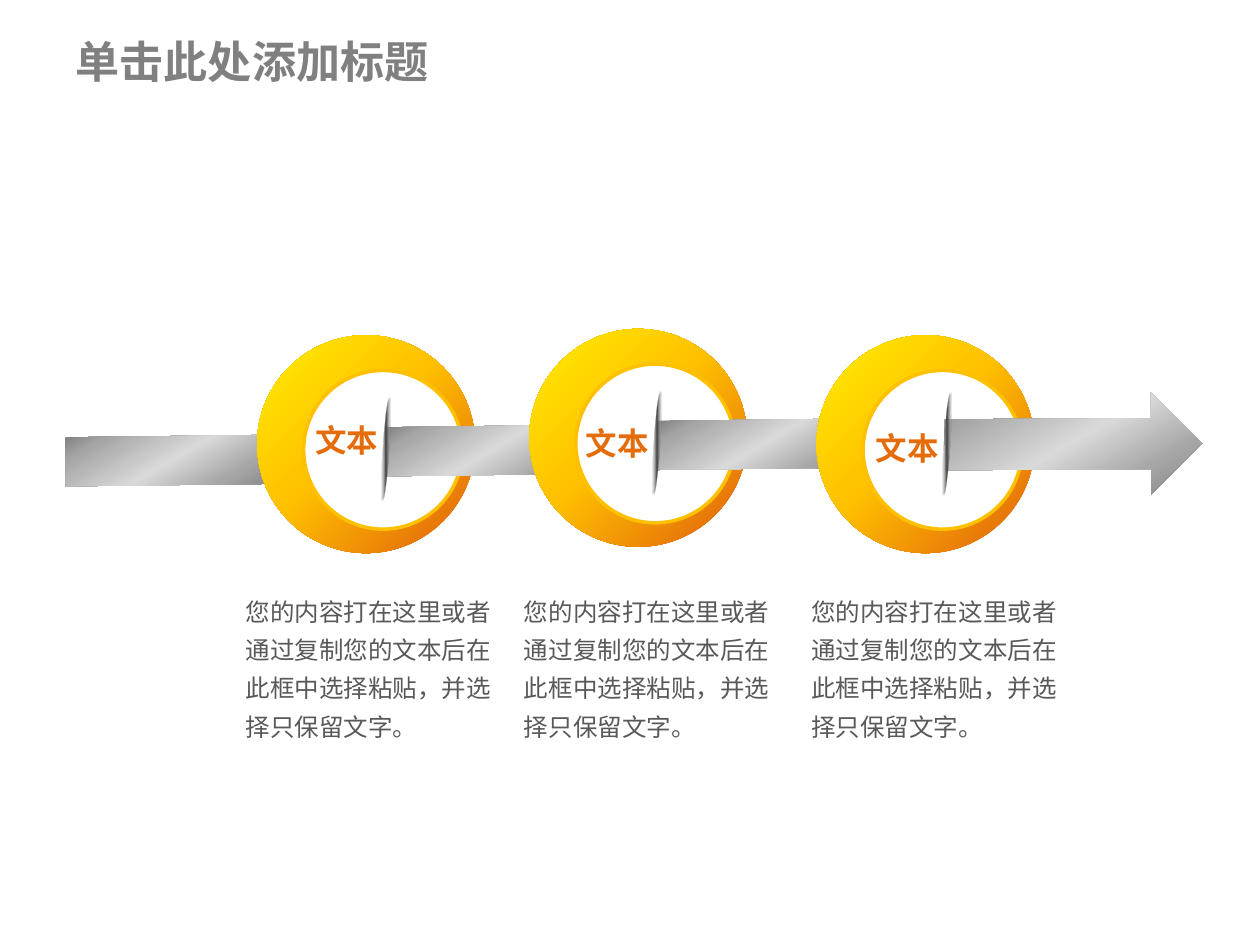
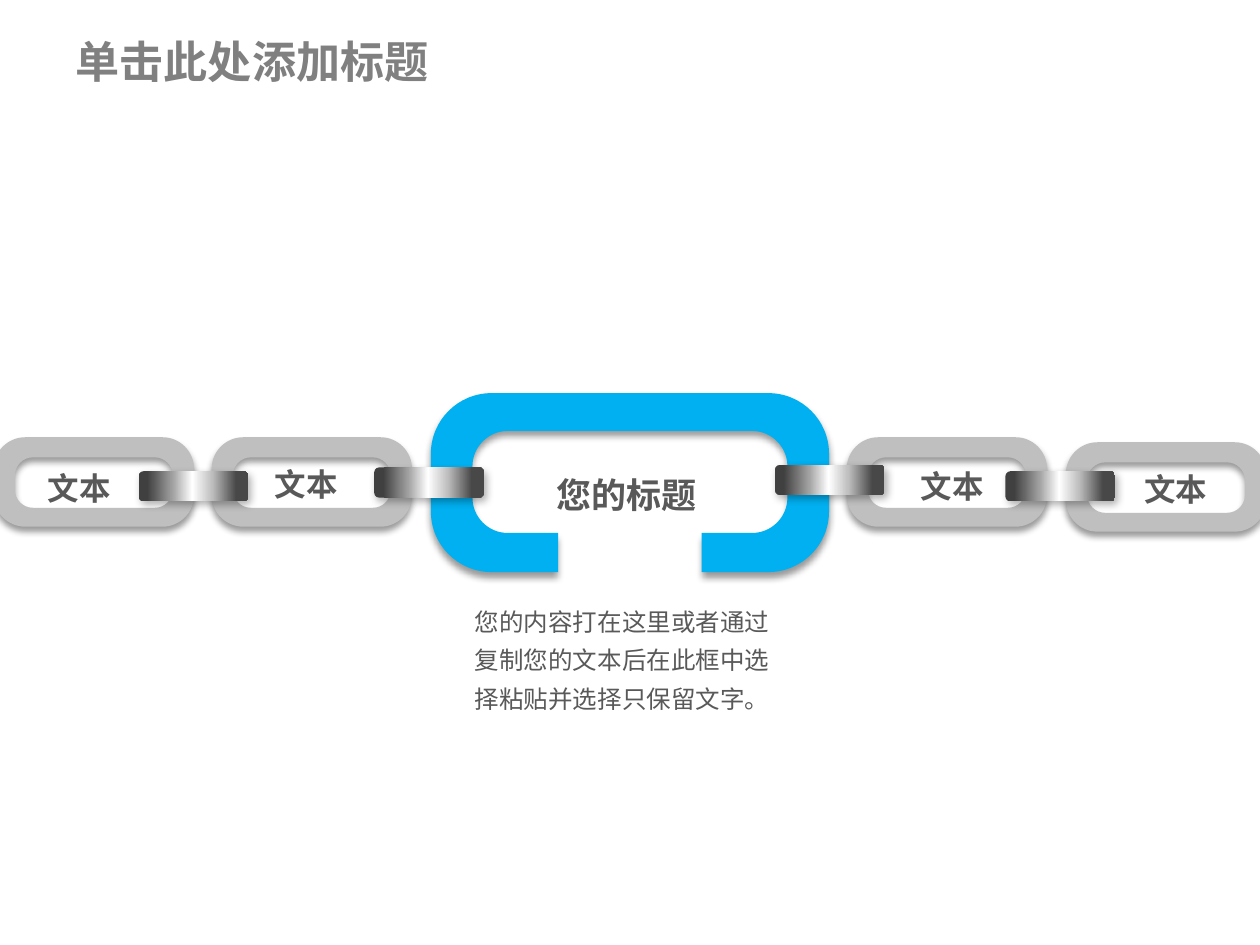
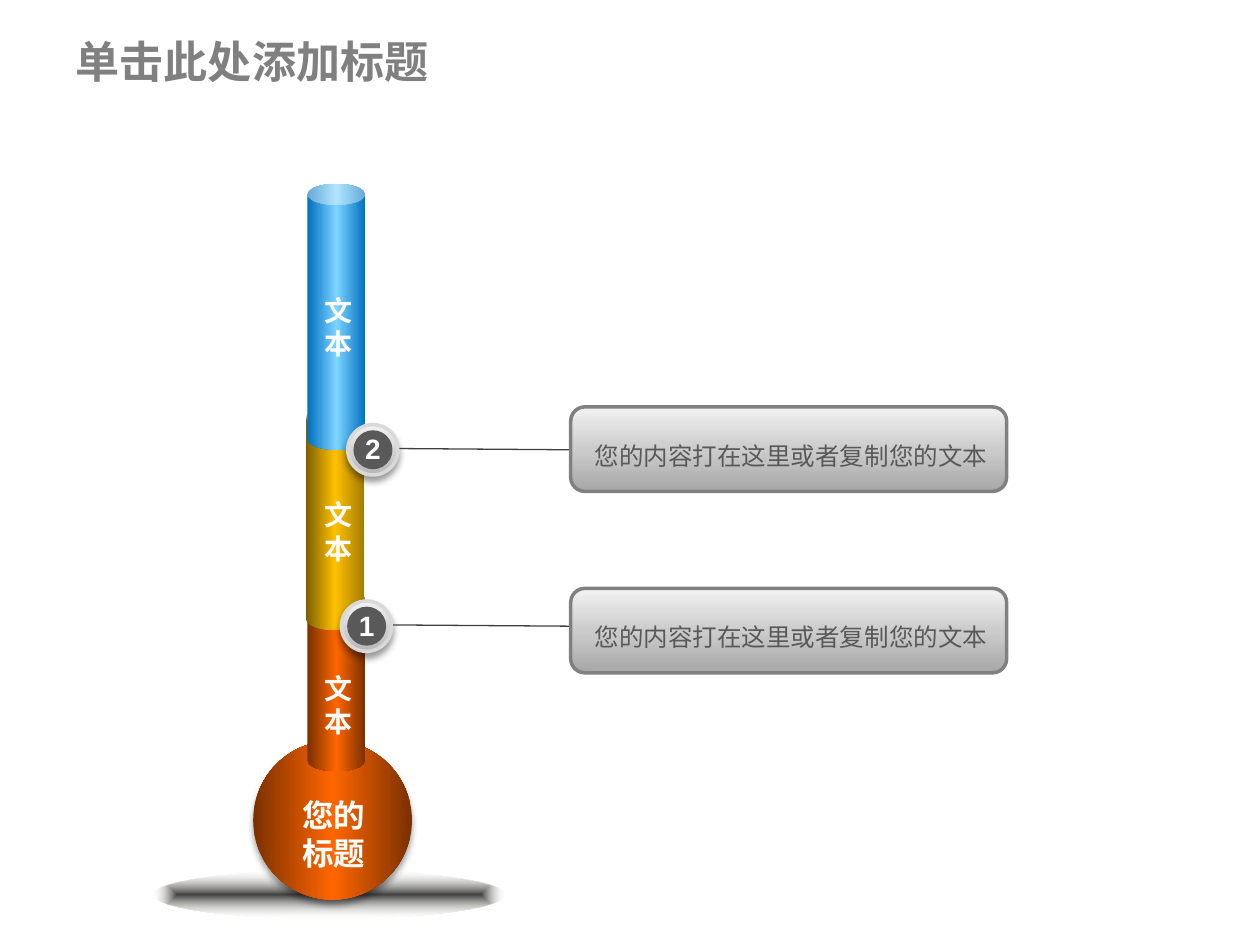
from math import hypot

from lxml import etree
from pptx import Presentation
from pptx.dml.color import RGBColor
from pptx.enum.shapes import MSO_CONNECTOR as Connector, MSO_SHAPE as Shape
from pptx.enum.text import MSO_ANCHOR as Anchor, MSO_AUTO_SIZE as AutoSize, PP_ALIGN as Align
from pptx.oxml import parse_xml
from pptx.oxml.ns import nsdecls, qn
from pptx.util import Inches, Pt

CJK, LATIN = "Noto Sans CJK SC", "Arial"
WHITE, INK, GREY, CHARCOAL = "FFFFFF", "595959", "808080", "404040"
ORANGE, GOLD, BLUE, SILVER = "E46C0A", "FFC000", "00B0F0", "BFBFBF"
TITLE, LABEL = "单击此处添加标题", "文本"

# Gradients: (position %, colour, opacity %)
STEEL = [(1, GREY), (15, "A6A6A6"), (49, "D9D9D9"), (77, "A6A6A6"), (100, GREY)]
SUN = [(0, "FFFF00"), (47, GOLD), (82, ORANGE)]
CHROME = [(8, CHARCOAL), (31, "A1A1A1"), (49, WHITE), (67, SILVER), (89, "484848")]
FADE = [(0, CHARCOAL), (100, "EEECE1", 0)]
RED_TUBE = [(0, "7A3000"), (50, "FF6600"), (100, "7A3000")]
GOLD_TUBE = [(0, "7E6000"), (50, GOLD), (100, "A47D00")]
BLUE_TUBE = [(0, "0070C0"), (50, "7DD4FF"), (100, "0070C0")]
BADGE = [(0, "B7B7B7"), (100, "F2F2F2")]
PANEL = [(0, "A7A7A7"), (50, "CCCCCC"), (100, "F2F2F2")]

# Shadows: opacity %, blur pt, distance pt, angle
DROP = (40, 4, 3, 90)
CLIP_DROP = (30, 4.5, 2.6, 53)


def colour(value):
    return RGBColor.from_string(value)


# Shared drawing helpers
def paint_gradient(shape, stops, angle=0, focus=None):
    """Linear at an angle, or radial when focus is (path kind, l, t, r, b)."""
    shape.fill.solid()
    solid = shape._element.spPr.find(qn("a:solidFill"))
    gradient = parse_xml(f'<a:gradFill {nsdecls("a")} rotWithShape="1"><a:gsLst/></a:gradFill>')
    for position, value, *opacity in stops:
        stop = etree.SubElement(gradient[0], qn("a:gs"), pos=str(position * 1000))
        tint = etree.SubElement(stop, qn("a:srgbClr"), val=value)
        if opacity:
            etree.SubElement(tint, qn("a:alpha"), val=str(opacity[0] * 1000))
    if focus:
        kind, *sides = focus
        radial = etree.SubElement(gradient, qn("a:path"), path=kind)
        etree.SubElement(radial, qn("a:fillToRect"),
                         {side: str(share * 1000) for side, share in zip("ltrb", sides)})
    else:
        etree.SubElement(gradient, qn("a:lin"), ang=str(angle * 60000), scaled="0")
    solid.getparent().replace(solid, gradient)


def finish(shape, fill=None, line=None, shadow=None):
    shape.shadow.inherit = False
    if fill:
        shape.fill.solid()
        shape.fill.fore_color.rgb = colour(fill)
    if line:
        shape.line.color.rgb = colour(line)
        shape.line.width = Pt(2)
    else:
        shape.line.fill.background()
    if shadow:
        opacity, blur, distance, angle = shadow
        effects = shape._element.spPr.find(qn("a:effectLst"))
        outer = etree.SubElement(effects, qn("a:outerShdw"), blurRad=str(Pt(blur)),
                                 dist=str(Pt(distance)), dir=str(angle * 60000),
                                 algn="ctr", rotWithShape="0")
        tint = etree.SubElement(outer, qn("a:srgbClr"), val="000000")
        etree.SubElement(tint, qn("a:alpha"), val=str(opacity * 1000))


def add_shape(page, kind, box, fill=None, stops=None, angle=0, focus=None,
              line=None, shadow=None, turn=0):
    shape = page.shapes.add_shape(kind, *map(Inches, box))
    shape.rotation = turn
    finish(shape, fill, line, shadow)
    if stops:
        paint_gradient(shape, stops, angle, focus)
    return shape


def style_text(frame, size, value, bold=False, font=CJK):
    for para in frame.paragraphs:
        for span in para.runs:
            span.font.size, span.font.bold, span.font.name = Pt(size), bold, font
            span.font.color.rgb = colour(value)
            etree.SubElement(span._r.get_or_add_rPr(), qn("a:ea"), typeface=font)


def add_text(page, box, text, size, value, bold=True, font=CJK):
    """Bold text is a centred label; plain text is a body paragraph."""
    frame = page.shapes.add_textbox(*map(Inches, box)).text_frame
    frame.word_wrap = True
    frame.auto_size = AutoSize.SHAPE_TO_FIT_TEXT
    frame.text = text
    para = frame.paragraphs[0]
    if bold:
        para.alignment = Align.CENTER
    else:
        para.line_spacing = 1.3
    style_text(frame, size, value, bold, font)


def add_page(deck):
    page = deck.slides.add_slide(deck.slide_layouts[5])
    title = page.shapes.title
    title.left, title.top, title.width, title.height = map(Inches, (0.5, 0.2, 9, 0.56))
    frame = title.text_frame
    frame.text = TITLE
    frame.vertical_anchor = Anchor.MIDDLE
    frame.paragraphs[0].alignment = Align.LEFT
    style_text(frame, 25.2, GREY, True)
    return page


# Slide 1: rings threaded on an arrow
def add_ring(page, left, top):
    add_shape(page, Shape.OVAL, (left, top, 1.73, 1.73), stops=SUN,
              focus=("circle", 0, 0, 100, 100), turn=22.6)
    add_shape(page, Shape.OVAL, (left + 0.37, top + 0.28, 1.26, 1.26),
              fill=WHITE, line=GOLD, turn=22.6)


def build_rings(deck):
    page = add_page(deck)
    rings = [(2.04, 2.66), (4.2, 2.61), (6.48, 2.66)]
    bars = [(0.52, 3.46), (3.06, 3.38), (5.22, 3.33)]
    for bar, ring in zip(bars, rings):
        add_shape(page, Shape.RECTANGLE, (*bar, 1.73, 0.39), stops=STEEL, angle=60, turn=359.3)
        add_ring(page, *ring)
    add_shape(page, Shape.RIGHT_ARROW, (7.5, 3.12, 2.04, 0.81), stops=STEEL, angle=60, turn=359.7)
    for left, top in [(2.65, 3.54), (4.8, 3.49), (7.1, 3.5)]:
        add_shape(page, Shape.OVAL, (left, top, 0.83, 0.05), stops=FADE,
                  focus=("shape", 50, 50, 50, 50), turn=93.7)
    for left, top in [(2.34, 3.29), (4.49, 3.32), (6.79, 3.36)]:
        add_text(page, (left, top, 0.82, 0.4), LABEL, 18, ORANGE)
    for left in (1.85, 4.06, 6.34):
        add_text(page, (left, 4.62, 2.29, 1.33),
                 "您的内容打在这里或者通过复制您的文本后在此框中选择粘贴，并选择只保留文字。",
                 14, INK, bold=False)


# Slide 2: a chain with an open middle link
def box_corners(left, top, width, height, radius):
    """Clockwise from the top left, each as (x, y, corner radius)."""
    right, bottom = left + width, top + height
    return [(left, top, radius), (right, top, radius),
            (right, bottom, radius), (left, bottom, radius)]


def toward(start, end, distance):
    share = distance / hypot(end[0] - start[0], end[1] - start[1])
    return tuple(start[i] + (end[i] - start[i]) * share for i in (0, 1))


def round_corners(corners):
    """Segments of one point (line) or three points (curve), ending where they start."""
    segments = []
    for index, corner in enumerate(corners):
        before, after = corners[index - 1], corners[(index + 1) % len(corners)]
        radius = corner[2]
        segments.append([toward(corner, before, radius)])
        if radius:
            segments.append([toward(corner, before, radius * 0.45),
                             toward(corner, after, radius * 0.45),
                             toward(corner, after, radius)])
    return segments[2:] + segments[:2]


def add_outline(page, contours, fill):
    """Draw closed contours; the first corner of each must be rounded."""
    contours = [round_corners(corners) for corners in contours]
    builder = None
    for segments in contours:
        ends = [tuple(map(Inches, segment[-1])) for segment in segments]
        if builder:
            builder.move_to(*ends[-1])
        else:
            builder = page.shapes.build_freeform(*ends[-1])
        builder.add_line_segments(ends, close=True)
    shape = builder.convert_to_shape()
    steps = list(shape._element.spPr.iter(qn("a:lnTo")))
    for step, segment in zip(steps, sum(contours, [])):
        if len(segment) == 3:
            step.tag = qn("a:cubicBezTo")
            for place, (x, y) in enumerate(segment[:2]):
                handle = etree.Element(qn("a:pt"), x=str(Inches(x) - shape.left),
                                       y=str(Inches(y) - shape.top))
                step.insert(place, handle)
    finish(shape, fill, shadow=DROP)


def add_link(page, left, top):
    outer = box_corners(left, top, 1.59, 0.71, 0.25)
    inner = box_corners(left + 0.17, top + 0.16, 1.25, 0.4, 0.14)
    add_outline(page, [inner[::-1], outer], SILVER)


def add_open_link(page, left, top):
    *outer, outer_end = box_corners(left, top, 3.16, 1.42, 0.48)
    inner = box_corners(left + 0.33, top + 0.3, 2.5, 0.81, 0.28)
    gap_left, gap_right, low, high = left + 1.01, left + 2.15, top + 1.42, top + 1.11
    inner_run = [inner[2], inner[1], inner[0], inner[3]]
    add_outline(page, [[*outer, (gap_right, low, 0), (gap_right, high, 0), *inner_run,
                        (gap_left, high, 0), (gap_left, low, 0), outer_end]], BLUE)


def add_clip(page, left, top):
    add_shape(page, Shape.ROUNDED_RECTANGLE, (left, top, 0.87, 0.24),
              stops=CHROME, shadow=CLIP_DROP)


def build_chain(deck):
    page = add_page(deck)
    add_open_link(page, 3.42, 3.12)
    for link, clip in [((1.68, 3.47), (2.97, 3.71)), ((6.72, 3.47), (6.15, 3.69)),
                       ((-0.05, 3.47), (1.1, 3.74)), ((8.46, 3.51), (7.98, 3.74))]:
        add_link(page, *link)
        add_clip(page, *clip)
    add_text(page, (3.67, 4.7, 2.73, 1.02),
             "您的内容打在这里或者通过复制您的文本后在此框中选择粘贴并选择只保留文字。",
             14, INK, bold=False)
    add_text(page, (4.16, 3.71, 1.62, 0.44), "您的标题", 20, INK)
    for left, top in [(0.1, 3.67), (1.9, 3.64), (7.03, 3.66), (8.8, 3.68)]:
        add_text(page, (left, top, 1.06, 0.4), LABEL, 18, INK)


# Slide 3: a thermometer with numbered callouts
def add_thermometer(page, left, top):
    add_shape(page, Shape.OVAL, (left, top + 5.45, 2.78, 0.38), stops=FADE,
              focus=("shape", 50, 50, 50, 50))
    add_shape(page, Shape.OVAL, (left + 0.79, top + 4.42, 1.26, 1.26),
              stops=RED_TUBE, shadow=DROP)
    for shift, drop, height, stops in [(1.22, 3.21, 1.45, RED_TUBE),
                                       (1.21, 1.77, 1.77, GOLD_TUBE),
                                       (1.22, 0, 2.11, BLUE_TUBE)]:
        tube = add_shape(page, Shape.CAN, (left + shift, top + drop, 0.46, height), stops=stops)
        tube.adjustments[0] = 0.36
    add_text(page, (left + 1.03, top + 4.81, 0.8, 0.71), "您的标题", 18, WHITE)
    for drop in (3.82, 2.44, 0.82):
        add_text(page, (left + 1.26, top + drop, 0.36, 0.64), LABEL, 16, WHITE)


def add_callout(page, number, left, top, panel_left, panel_top):
    rim, dot = 0.4, 0.31
    inset = (rim - dot) / 2
    add_shape(page, Shape.OVAL, (left, top, rim, rim), stops=BADGE, angle=270,
              line="D9D9D9", shadow=DROP)
    add_shape(page, Shape.OVAL, (left + inset, top + inset, dot, dot), fill=INK)
    add_text(page, (left - 0.01, top + 0.01, 0.42, 0.37), number, 16, WHITE, font=LATIN)
    leader = page.shapes.add_connector(
        Connector.STRAIGHT, *map(Inches, (left + 0.41, top + 0.19, panel_left, top + 0.2)))
    leader.line.color.rgb = colour(CHARCOAL)
    leader.line.width = Pt(0.75)
    etree.SubElement(leader._element.spPr, qn("a:effectLst"))
    add_shape(page, Shape.ROUNDED_RECTANGLE, (panel_left, panel_top, 3.46, 0.67),
              stops=PANEL, angle=270, line=GREY)
    add_text(page, (panel_left + 0.09, panel_top + 0.15, 3.38, 0.41),
             "您的内容打在这里或者复制您的文本", 14, INK, bold=False)


def build_thermometer(deck):
    page = add_page(deck)
    add_thermometer(page, 1.22, 1.46)
    add_callout(page, "1", 2.71, 4.77, 4.53, 4.67)
    add_callout(page, "2", 2.76, 3.37, 4.53, 3.23)


def main():
    deck = Presentation()
    deck.slide_width, deck.slide_height = Inches(10), Inches(7.5)
    for build in (build_rings, build_chain, build_thermometer):
        build(deck)
    deck.save("out.pptx")


if __name__ == "__main__":
    main()
